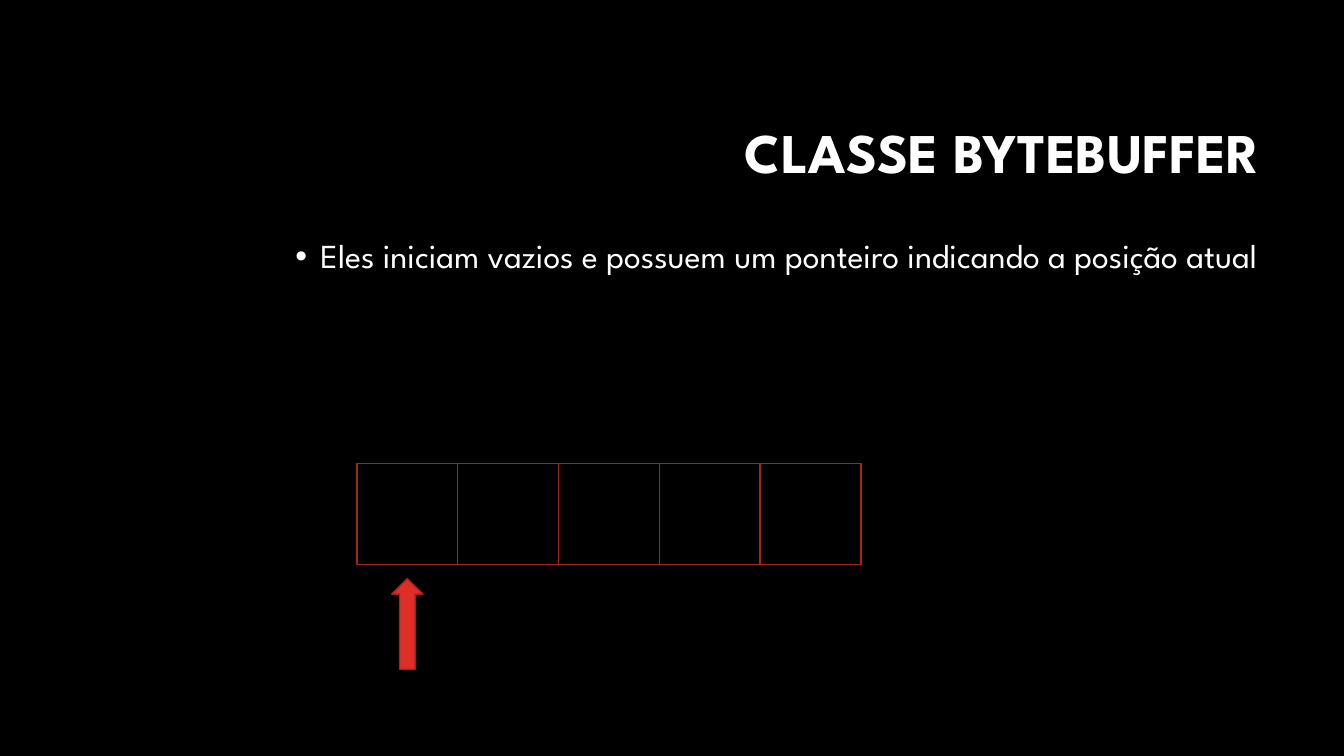
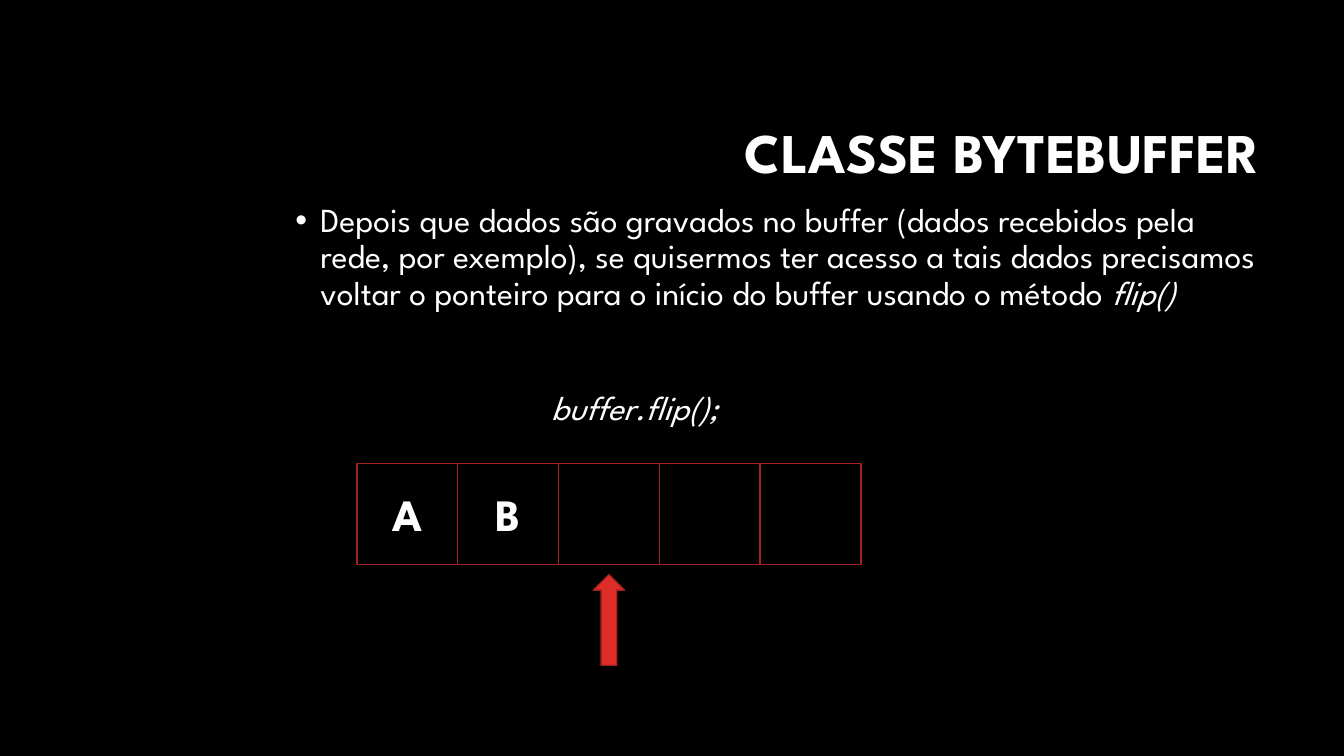
"""Build two slides on the ByteBuffer class and its position pointer."""
from lxml import etree
from pptx import Presentation
from pptx.dml.color import RGBColor
from pptx.enum.shapes import MSO_SHAPE
from pptx.enum.text import MSO_ANCHOR, MSO_AUTO_SIZE, PP_ALIGN
from pptx.oxml.ns import qn
from pptx.util import Inches, Pt

RECTANGLE, UP_ARROW = MSO_SHAPE.RECTANGLE, MSO_SHAPE.UP_ARROW
MIDDLE = MSO_ANCHOR.MIDDLE
NO_AUTOFIT, GROW = MSO_AUTO_SIZE.NONE, MSO_AUTO_SIZE.SHAPE_TO_FIT_TEXT
CENTER, RIGHT = PP_ALIGN.CENTER, PP_ALIGN.RIGHT

BLACK = RGBColor(0x00, 0x00, 0x00)
WHITE = RGBColor(0xFF, 0xFF, 0xFF)
RED = RGBColor(0xDF, 0x2E, 0x28)
DARK_RED = RGBColor(0xA5, 0x22, 0x1E)
FONT = "League Spartan"

CELL_COUNT, CELL_SIZE = 5, 1
BUFFER_LEFT, BUFFER_TOP = 3.54, 4.6
POINTER_WIDTH, POINTER_HEIGHT = 0.31, 0.9


def add_run(paragraph, text, size=24, bold=False, italic=False):
    """Append text to the paragraph in the deck's font."""
    run = paragraph.add_run()
    run.text = text
    run.font.name = FONT
    run.font.size = Pt(size)
    run.font.bold = bold
    run.font.italic = italic
    run.font.color.rgb = WHITE


class BufferDeck:
    """Hold the deck's style and the slide being filled."""

    def __init__(self):
        self.prs = Presentation()
        self.prs.slide_width = Inches(13.33)
        self.prs.slide_height = Inches(7.5)
        background = self.prs.slide_master.background.fill
        background.solid()
        background.fore_color.rgb = BLACK
        self.slide = None

    def new_slide(self, heading):
        """Start a slide with its right-aligned title."""
        self.slide = self.prs.slides.add_slide(self.prs.slide_layouts[5])
        title = self.slide.shapes.title
        title.left, title.top = Inches(3.17), Inches(0.84)
        title.width, title.height = Inches(9.42), Inches(1.41)
        frame = title.text_frame
        frame.auto_size = NO_AUTOFIT
        frame.vertical_anchor = MIDDLE
        paragraph = frame.paragraphs[0]
        paragraph.alignment = RIGHT
        paragraph.line_spacing = 0.9
        add_run(paragraph, heading, size=40, bold=True)

    def bullet(self, top, text, method=""):
        """Add the explanation, ending with a method name in italics."""
        box = self.slide.shapes.add_textbox(
            Inches(2.83), Inches(top), Inches(9.75), Inches(1.73))
        box.text_frame.word_wrap = True
        paragraph = box.text_frame.paragraphs[0]
        paragraph.line_spacing = 0.9
        add_run(paragraph, text)
        if method:
            add_run(paragraph, method, italic=True)
        properties = paragraph._p.get_or_add_pPr()
        properties.set("marL", str(Inches(0.25)))
        properties.set("indent", str(-Inches(0.25)))
        etree.SubElement(properties, qn("a:buFont"), typeface="Arial")
        etree.SubElement(properties, qn("a:buChar"), char="•")

    def outlined(self, shapes, kind, left, top, width, height, color):
        """Add a filled shape with the dark red outline."""
        shape = shapes.add_shape(
            kind, Inches(left), Inches(top), Inches(width), Inches(height))
        shape.shadow.inherit = False
        shape.fill.solid()
        shape.fill.fore_color.rgb = color
        shape.line.color.rgb = DARK_RED
        shape.line.width = Pt(1)
        return shape

    def buffer(self, content=""):
        """Draw the row of cells, one letter of content in each."""
        cells = self.slide.shapes.add_group_shape().shapes
        for index, letter in enumerate(content.ljust(CELL_COUNT)):
            cell = self.outlined(
                cells, RECTANGLE, BUFFER_LEFT + index * CELL_SIZE, BUFFER_TOP,
                CELL_SIZE, CELL_SIZE, BLACK)
            if letter.strip():
                cell.text_frame.vertical_anchor = MIDDLE
                paragraph = cell.text_frame.paragraphs[0]
                paragraph.alignment = CENTER
                add_run(paragraph, letter, size=32, bold=True)

    def pointer(self, position, top):
        """Point an arrow at the cell of the current position."""
        center = BUFFER_LEFT + (position + 0.5) * CELL_SIZE
        self.outlined(
            self.slide.shapes, UP_ARROW, center - POINTER_WIDTH / 2, top,
            POINTER_WIDTH, POINTER_HEIGHT, RED)

    def call(self, code):
        """Show a method call above the buffer."""
        box = self.slide.shapes.add_textbox(
            Inches(5.37), Inches(3.79), Inches(2.07), Inches(0.5))
        box.text_frame.word_wrap = False
        box.text_frame.auto_size = GROW
        add_run(box.text_frame.paragraphs[0], code, italic=True)


def main():
    """Fill both slides and save the deck."""
    deck = BufferDeck()
    heading = "CLASSE BYTEBUFFER"

    deck.new_slide(heading)
    deck.bullet(2.33, "Eles iniciam vazios e possuem um ponteiro indicando "
                      "a posição atual")
    deck.buffer()
    deck.pointer(position=0, top=5.74)

    deck.new_slide(heading)
    deck.bullet(1.97, "Depois que dados são gravados no buffer (dados "
                      "recebidos pela rede, por exemplo), se quisermos ter "
                      "acesso a tais dados precisamos voltar o ponteiro para "
                      "o início do buffer usando o método ", method="flip()")
    deck.buffer("AB")
    deck.pointer(position=2, top=5.7)
    deck.call("buffer.flip();")

    deck.prs.save("out.pptx")


if __name__ == "__main__":
    main()
